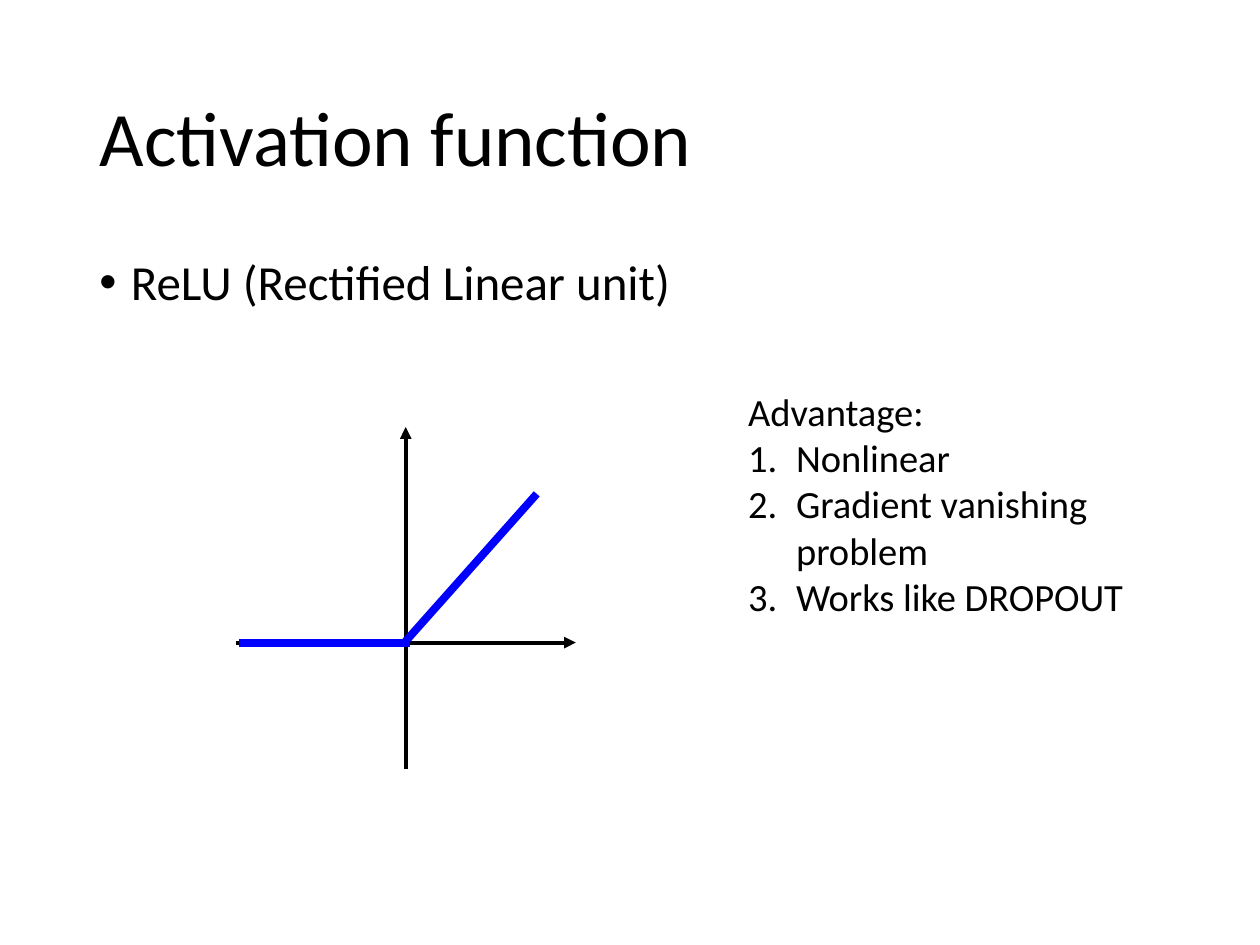
import pptx
import pptx.dml.color
import pptx.enum.shapes
import pptx.enum.text
import pptx.oxml.ns
import pptx.util
from lxml import etree

Inches = pptx.util.Inches
Pt = pptx.util.Pt
qn = pptx.oxml.ns.qn

BLACK = pptx.dml.color.RGBColor(0x00, 0x00, 0x00)
BLUE = pptx.dml.color.RGBColor(0x00, 0x00, 0xFF)
FONT = "Calibri"
ADVANTAGES = ["Nonlinear", "Gradient vanishing problem", "Works like DROPOUT"]
AXIS_Y = 5.1


def add_run(paragraph, text, size):
    run = paragraph.add_run()
    run.text = text
    run.font.name = FONT
    run.font.size = Pt(size)
    run.font.color.rgb = BLACK


def add_marker(paragraph, indent, tag, **attributes):
    properties = paragraph._p.get_or_add_pPr()
    properties.set("marL", str(Inches(indent)))
    properties.set("indent", str(-Inches(indent)))
    etree.SubElement(properties, qn("a:buFont"), typeface="Arial")
    etree.SubElement(properties, qn(tag), **attributes)


def add_title(slide, text):
    title = slide.shapes.title
    title.left, title.top = Inches(0.69), Inches(0.4)
    title.width, title.height = Inches(8.62), Inches(1.45)
    title.text_frame.vertical_anchor = pptx.enum.text.MSO_ANCHOR.MIDDLE
    paragraph = title.text_frame.paragraphs[0]
    paragraph.alignment = pptx.enum.text.PP_ALIGN.LEFT
    paragraph.line_spacing = 0.9
    add_run(paragraph, text, 44)


def add_text_box(slide, left, top, width, height):
    box = slide.shapes.add_textbox(
        Inches(left), Inches(top), Inches(width), Inches(height))
    box.text_frame.word_wrap = True
    return box.text_frame


def add_body(slide, text):
    paragraph = add_text_box(slide, 0.69, 2, 8.62, 4.76).paragraphs[0]
    add_marker(paragraph, 0.25, "a:buChar", char="•")
    paragraph.line_spacing = 0.9
    add_run(paragraph, text, 28)


def add_advantages(slide):
    frame = add_text_box(slide, 5.84, 3.03, 3.54, 1.95)
    frame.auto_size = pptx.enum.text.MSO_AUTO_SIZE.SHAPE_TO_FIT_TEXT
    add_run(frame.paragraphs[0], "Advantage:", 22)
    for advantage in ADVANTAGES:
        paragraph = frame.add_paragraph()
        add_marker(paragraph, 0.38, "a:buAutoNum", type="arabicPeriod")
        add_run(paragraph, advantage, 22)


def add_line(group, start, end, color, width, arrow=False):
    connector = group.shapes.add_connector(
        pptx.enum.shapes.MSO_CONNECTOR.STRAIGHT,
        *map(Inches, start), *map(Inches, end))
    connector.line.color.rgb = color
    connector.line.width = Pt(width)
    if arrow:
        etree.SubElement(
            connector.line._get_or_add_ln(), qn("a:tailEnd"), type="triangle")
    etree.SubElement(connector._element.spPr, qn("a:effectLst"))


def add_relu_graph(slide):
    group = slide.shapes.add_group_shape()
    add_line(group, (1.87, AXIS_Y), (4.57, AXIS_Y), BLACK, 2.25, arrow=True)
    add_line(group, (3.22, 6.1), (3.22, 3.39), BLACK, 2.25, arrow=True)
    add_line(group, (1.9, AXIS_Y), (3.25, AXIS_Y), BLUE, 4.5)
    add_line(group, (3.21, AXIS_Y), (4.26, 3.92), BLUE, 4.5)


def main():
    presentation = pptx.Presentation()
    presentation.slide_width = Inches(10)
    presentation.slide_height = Inches(7.5)
    slide = presentation.slides.add_slide(presentation.slide_layouts[5])
    add_title(slide, "Activation function")
    add_body(slide, "ReLU (Rectified Linear unit)")
    add_relu_graph(slide)
    add_advantages(slide)
    presentation.save("out.pptx")


if __name__ == "__main__":
    main()
